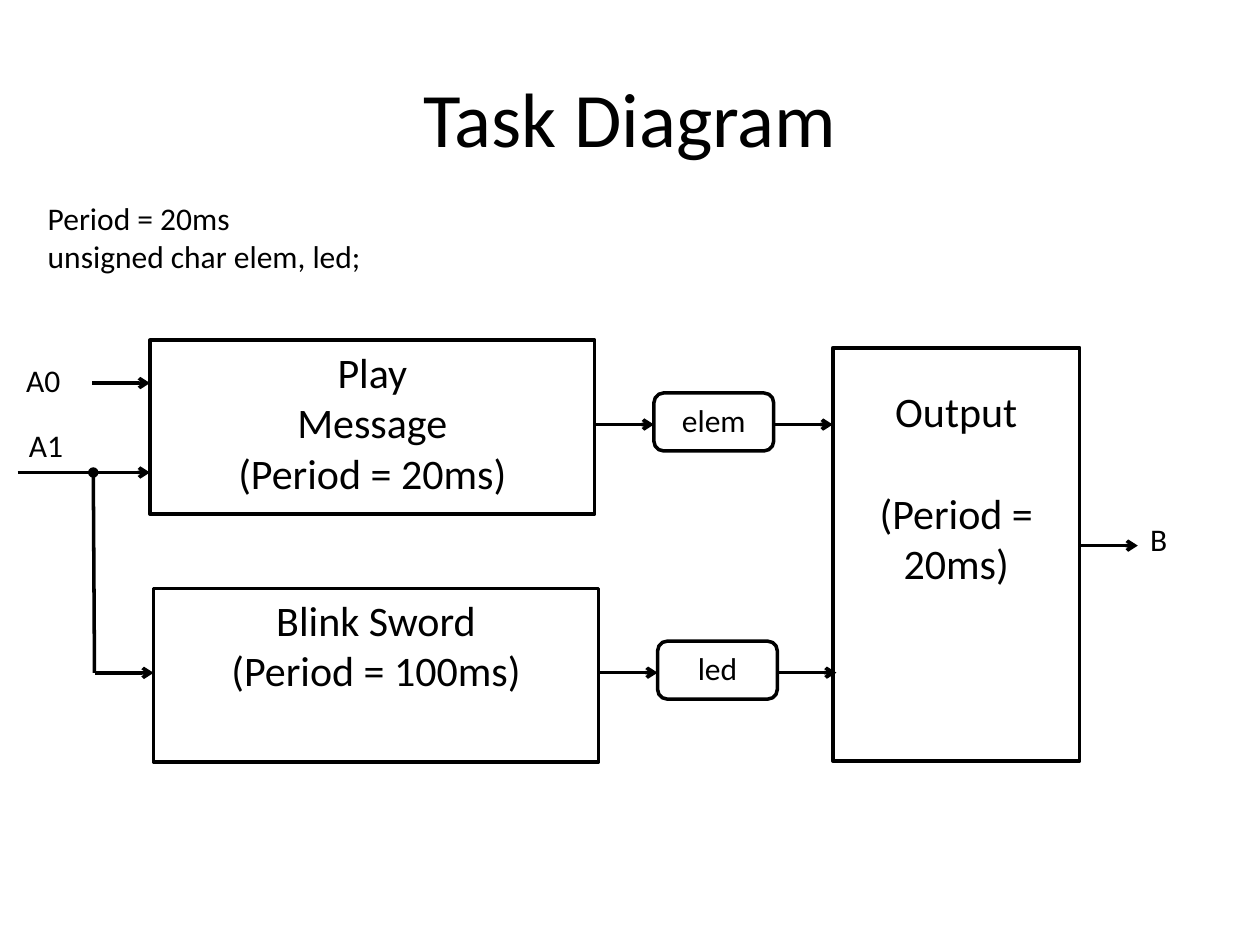
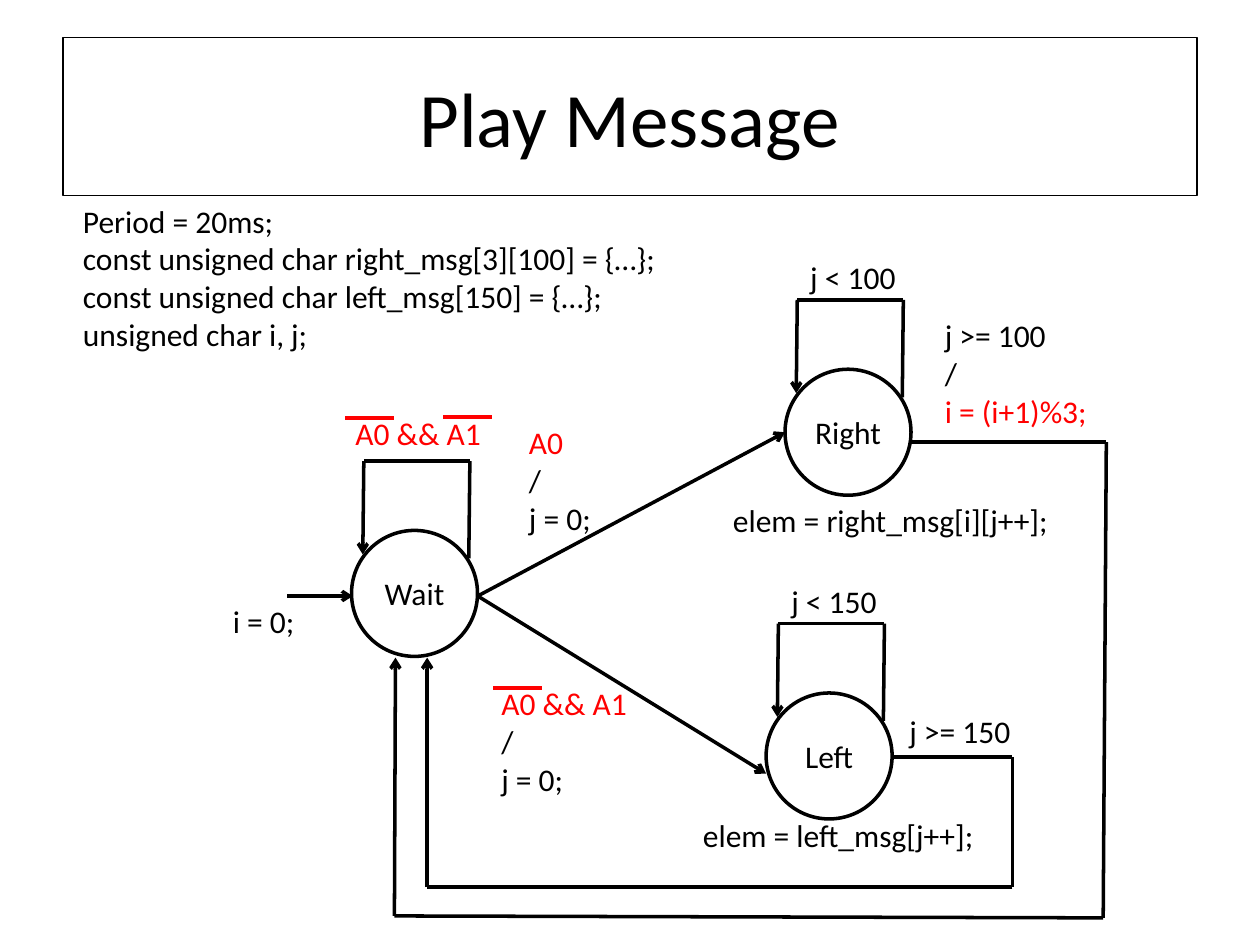
"""Build a task diagram and its message state machine as two slides."""
import dataclasses
import itertools

import lxml.etree
import pptx
import pptx.dml.color
import pptx.enum.shapes
import pptx.enum.text
import pptx.oxml.ns
import pptx.util

Pt = pptx.util.Pt
Shape = pptx.enum.shapes.MSO_SHAPE
Align = pptx.enum.text.PP_ALIGN
Anchor = pptx.enum.text.MSO_ANCHOR


@dataclasses.dataclass(frozen=True)
class Theme:
    font: str = "Calibri"
    ink: str = "000000"
    accent: str = "FF0000"
    paper: str = "FFFFFF"
    title_size: float = 44
    task_size: float = 24
    label_size: float = 18
    line_width: float = 2
    frame_width: float = 0.75


def rgb(value):
    return pptx.dml.color.RGBColor.from_string(value)


def write(shape, text, theme, size=None, colour=None, accent_lines=(), align=Align.LEFT,
          anchor=Anchor.TOP, side_inset=7.2, top_inset=3.6, gap=0):
    frame = shape.text_frame
    frame.word_wrap = True
    frame.vertical_anchor = anchor
    frame.margin_left = frame.margin_right = Pt(side_inset)
    frame.margin_top, frame.margin_bottom = Pt(top_inset), Pt(3.6)
    for index, line in enumerate(text.split("\n")):
        paragraph = frame.add_paragraph() if index else frame.paragraphs[0]
        paragraph.alignment = align
        if index:
            paragraph.space_before = Pt(gap)
        run = paragraph.add_run()
        run.text = line
        run.font.name = theme.font
        run.font.size = Pt(size or theme.label_size)
        accented = index in accent_lines
        run.font.color.rgb = rgb(theme.accent if accented else colour or theme.ink)


class Deck:
    def __init__(self, theme):
        self.theme = theme
        self.presentation = pptx.Presentation()
        self.presentation.slide_width = Pt(720)
        self.presentation.slide_height = Pt(540)
        self.slide = None

    def add_slide(self, title, framed=False):
        self.slide = self.presentation.slides.add_slide(self.presentation.slide_layouts[6])
        heading = self.label(title, 36, 21.6, 648, 90, size=self.theme.title_size,
                             align=Align.CENTER, anchor=Anchor.MIDDLE)
        if framed:
            heading.line.color.rgb = rgb(self.theme.ink)
            heading.line.width = Pt(self.theme.frame_width)

    def label(self, text, left, top, width, height=29, **text_format):
        shape = self.slide.shapes.add_textbox(Pt(left), Pt(top), Pt(width), Pt(height))
        write(shape, text, self.theme, **text_format)
        return shape

    def box(self, text, left, top, width, height, kind=Shape.RECTANGLE, fill=None,
            **text_format):
        shape = self.slide.shapes.add_shape(kind, Pt(left), Pt(top), Pt(width), Pt(height))
        shape.shadow.inherit = False
        if fill:
            shape.fill.solid()
            shape.fill.fore_color.rgb = rgb(fill)
        else:
            shape.fill.background()
        shape.line.color.rgb = rgb(self.theme.ink)
        shape.line.width = Pt(self.theme.line_width)
        write(shape, text, self.theme, align=Align.CENTER, **text_format)

    def route(self, *points, start=None, end="arrow", colour=None):
        last = len(points) - 2
        for index, (begin, finish) in enumerate(itertools.pairwise(points)):
            connector = self.slide.shapes.add_connector(
                pptx.enum.shapes.MSO_CONNECTOR.STRAIGHT, *map(Pt, begin + finish))
            connector.line.color.rgb = rgb(colour or self.theme.ink)
            connector.line.width = Pt(self.theme.line_width)
            properties = connector._element.spPr
            outline = properties.find(pptx.oxml.ns.qn("a:ln"))
            if start and index == 0:
                self.line_end(outline, "a:headEnd", start)
            if end and index == last:
                self.line_end(outline, "a:tailEnd", end)
            lxml.etree.SubElement(properties, pptx.oxml.ns.qn("a:effectLst"))

    @staticmethod
    def line_end(outline, tag, kind):
        lxml.etree.SubElement(outline, pptx.oxml.ns.qn(tag)).set("type", kind)

    def task(self, text, variable, left, top):
        middle = top + 48.2
        self.box(text, left, top, 254.2, 99.4, size=self.theme.task_size)
        self.route((left + 254.9, middle), (left + 288, middle))
        self.box(variable, left + 288, top + 30.2, 68.4, 33.1,
                 kind=Shape.ROUNDED_RECTANGLE, top_inset=3)
        self.route((left + 357.1, middle), (left + 390.2, middle))

    def state(self, name, left, top):
        self.box(name, left, top, 72, 72, kind=Shape.OVAL, fill=self.theme.paper,
                 anchor=Anchor.MIDDLE, side_inset=0)
        self.route((left + 67, top + 16), (left + 67.6, top - 39.6),
                   (left + 7, top - 39.6), (left + 6.4, top + 13.7))

    def overline(self, left, top):
        self.route((left, top), (left + 28, top), end=None, colour=self.theme.accent)


def add_task_diagram(deck):
    deck.add_slide("Task Diagram")
    deck.label("Period = 20ms\nunsigned char elem, led;", 20.2, 110.2, 246, 51)
    deck.task("Play\nMessage\n(Period = 20ms)", "elem", 85.7, 194.4)
    deck.task("Blink Sword\n(Period = 100ms)", "led", 87.8, 336.2)
    deck.box("Output\n(Period = 20ms)", 475.9, 198.7, 141.1, 236.2,
             size=deck.theme.task_size, top_inset=21.6, gap=29.3)
    deck.route((52.6, 218.9), (85.7, 218.9))
    deck.route((10.1, 270), (85.7, 270))
    deck.route((53.3, 270), (54, 384.5), (87.8, 384.5), start="oval")
    deck.route((617, 311.8), (650.2, 311.8))
    for name, left, top in (("A0", 7.9, 203), ("A1", 9.4, 239.8), ("B", 650.2, 293.8)):
        deck.label(name, left, top, 43.2)


def add_state_machine(deck):
    deck.add_slide("Play Message", framed=True)
    deck.label("Period = 20ms;\nconst unsigned char right_msg[3][100] = {…};\n"
               "const unsigned char left_msg[150] = {…};\nunsigned char i, j;",
               40.3, 111.6, 463, 94.3)

    for name, left, top in (("Wait", 200.9, 303.1), ("Right", 448.6, 211), ("Left", 437.8, 396)):
        deck.state(name, left, top)

    deck.route((164.2, 340.6), (201.6, 340.6))
    deck.route((273, 340.6), (448.6, 247))
    deck.route((273, 340.6), (437.8, 442.1))
    deck.route((520.6, 252.7), (632.2, 252.7), (630.4, 524.5), (225.4, 523.4), (226, 375.8))
    deck.route((509.8, 432.7), (578.5, 432.7), (578.5, 506.9), (244.1, 506.9), (244.1, 375.8))

    deck.label("i = 0;", 126, 340.6, 74.9)
    deck.label("A0 && A1", 177.8, 233.3, 122.4, colour=deck.theme.accent, align=Align.CENTER)
    deck.label("A0\n/\nj = 0;", 295.2, 238.3, 83.5, 72.7, accent_lines=(0,))
    deck.label("A0 && A1\n/\nj = 0;", 279.4, 387.4, 122.4, 72.7, accent_lines=(0,))
    for left, top in ((197.3, 239), (253.4, 238.3), (282, 393.1)):
        deck.overline(left, top)

    deck.label("j < 100", 437, 144, 100.8, align=Align.CENTER)
    deck.label("j >= 100\n/\ni = (i+1)%3;", 532.8, 177.1, 124.6, 72.7, accent_lines=(2,))
    deck.label("elem = right_msg[i][j++];", 411.8, 283, 218.9)
    deck.label("j < 150", 426.2, 329, 100.8, align=Align.CENTER)
    deck.label("j >= 150", 512.6, 403.2, 100.8)
    deck.label("elem = left_msg[j++];", 394.6, 463, 218.9)


def main():
    deck = Deck(Theme())
    add_task_diagram(deck)
    add_state_machine(deck)
    deck.presentation.save("out.pptx")


if __name__ == "__main__":
    main()
